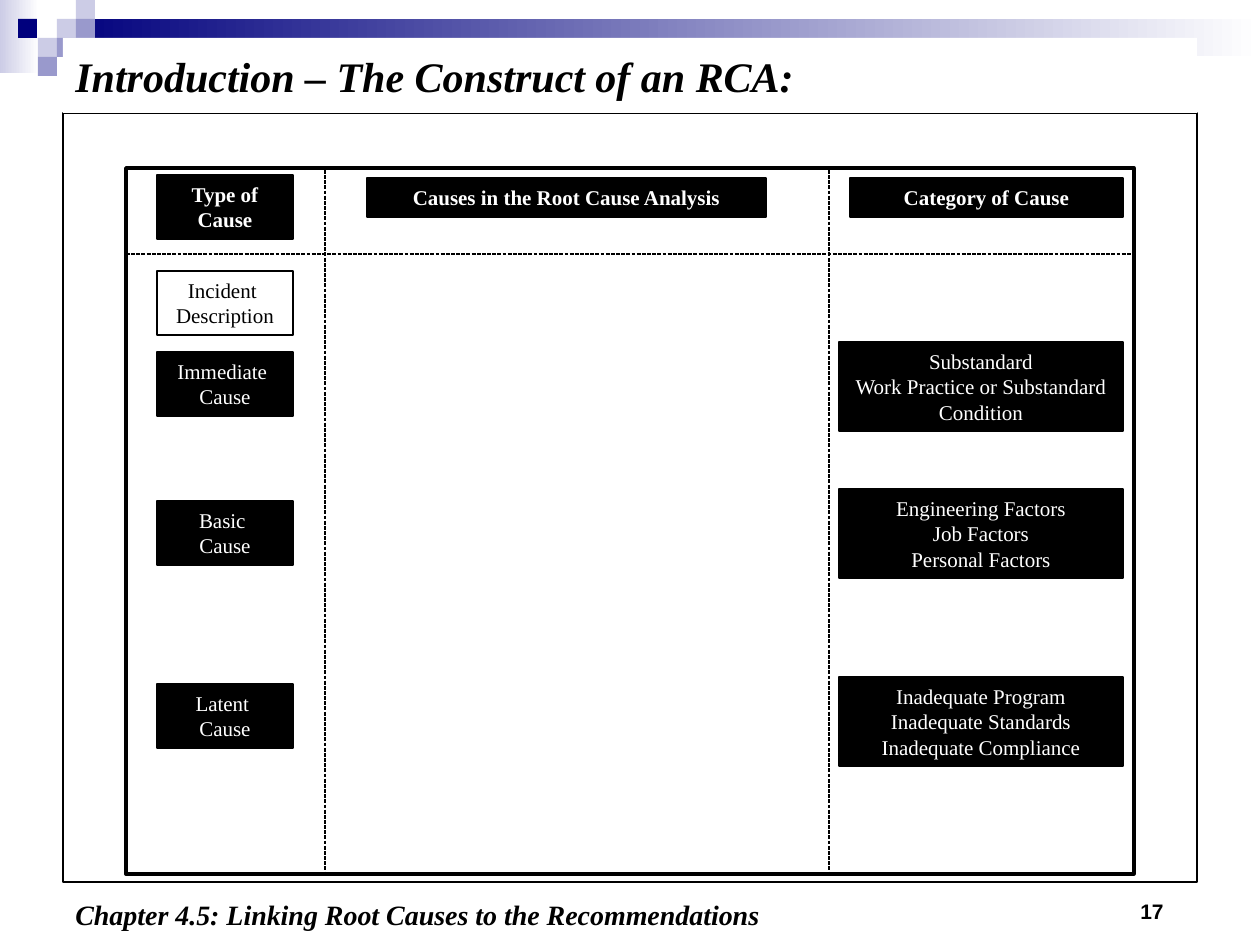
from lxml.etree import SubElement
from pptx import Presentation
from pptx.dml.color import RGBColor
from pptx.enum.dml import MSO_LINE
from pptx.enum.shapes import MSO_CONNECTOR, MSO_SHAPE
from pptx.enum.text import MSO_ANCHOR, PP_ALIGN
from pptx.oxml.ns import qn
from pptx.util import Pt

PX = 914400 / 126
HUES = {"navy": "00007D", "mid": "9999CC", "pale": "CCCCE6",
        "black": "000000", "white": "FFFFFF"}
RGB = {name: RGBColor.from_string(code) for name, code in HUES.items()}
SERIF = "Times New Roman"


def rect(box, fill, line=0):
    """Add a rectangle; a pair of colours as fill gives a gradient to the right."""
    shape = slide.shapes.add_shape(MSO_SHAPE.RECTANGLE, *[round(v * PX) for v in box])
    shape.shadow.inherit = False
    if isinstance(fill, tuple):
        shape.fill.gradient()
        shape.fill.gradient_angle = 0
        for stop, hue in zip(shape.fill.gradient_stops, fill):
            stop.color.rgb = RGB[hue]
    else:
        shape.fill.solid()
        shape.fill.fore_color.rgb = RGB[fill]
    if line:
        shape.line.color.rgb = RGB["black"]
        shape.line.width = Pt(line)
    else:
        shape.line.fill.background()
    return shape


def write(shape, text, size=12, hue="black", font=SERIF, bold=False, italic=False,
          align=PP_ALIGN.LEFT, anchor=MSO_ANCHOR.MIDDLE, gap=1.0):
    frame = shape.text_frame
    frame.word_wrap = True
    frame.vertical_anchor = anchor
    para = frame.paragraphs[0]
    para.text = text
    para.alignment = align
    para.line_spacing = gap
    para.font.name = font
    para.font.size = Pt(size)
    para.font.bold = bold
    para.font.italic = italic
    para.font.color.rgb = RGB[hue]


deck = Presentation()
deck.slide_width, deck.slide_height = round(1260 * PX), round(945 * PX)
slide = deck.slides.add_slide(deck.slide_layouts[6])

# Top band and its small squares
rect((0, 0, 39, 73), ("pale", "white"))
rect((57, 19, 1203, 37), ("navy", "white"))
for x, y, hue in [(57, 19, "pale"), (76, 0, "pale"), (76, 19, "mid"), (38, 38, "pale"),
                  (18, 19, "navy"), (57, 38, "mid"), (38, 57, "mid")]:
    rect((x, y, 19, 19), hue)

# Panel and frame
panel = rect((63, 113, 1134, 769), "white", 0.75)
tint = panel.fill._xPr.find(qn("a:solidFill"))[0]
SubElement(tint, qn("a:alpha"), val="70000")
rect((126, 168, 1008, 706), "white", 2)

# Labels: left column, right column, headings
types = [(271, "Incident \nDescription"), (352, "Immediate \nCause"),
         (501, "Basic \nCause"), (684, "Latent \nCause")]
groups = [(342, "Substandard\nWork Practice or Substandard Condition"),
          (489, "Engineering Factors\nJob Factors\nPersonal Factors"),
          (677, "Inadequate Program\nInadequate Standards\nInadequate Compliance")]
heads = [((157, 175, 136, 64), "Type of Cause"),
         ((367, 178, 399, 39), "Causes in the Root Cause Analysis"),
         ((850, 178, 273, 39), "Category of Cause")]
labels = [((157, y, 136, 64), text, False) for y, text in types]
labels += [((839, y, 284, 89), text, False) for y, text in groups]
labels += [(box, text, True) for box, text in heads]
for box, text, bold in labels:
    back, ink = ("white", "black") if text.startswith("Incident") else ("black", "white")
    write(rect(box, back, 0.75), text, hue=ink, bold=bold, align=PP_ALIGN.CENTER)

# Dashed dividers
for ends in [(325, 170, 325, 873), (126, 254, 1134, 254), (829, 170, 829, 873)]:
    rule = slide.shapes.add_connector(MSO_CONNECTOR.STRAIGHT,
                                      *[round(v * PX) for v in ends])
    rule.line.color.rgb = RGB["black"]
    rule.line.width = Pt(0.75)
    rule.line.dash_style = MSO_LINE.SQUARE_DOT
    SubElement(rule._element.spPr, qn("a:effectLst"))

# Title, page number and chapter
write(rect((63, 38, 1134, 75), "white"), "Introduction – The Construct of an RCA:",
      size=24, bold=True, italic=True)
page = slide.shapes.add_textbox(*[round(v * PX) for v in (1050, 892, 126, 32)])
write(page, "17", font="Arial", bold=True, align=PP_ALIGN.RIGHT, anchor=MSO_ANCHOR.TOP)
foot = slide.shapes.add_textbox(*[round(v * PX) for v in (63, 895, 844, 50)])
write(foot, "Chapter 4.5: Linking Root Causes to the Recommendations", size=16,
      bold=True, italic=True, anchor=MSO_ANCHOR.TOP, gap=0.9)

deck.save("out.pptx")
